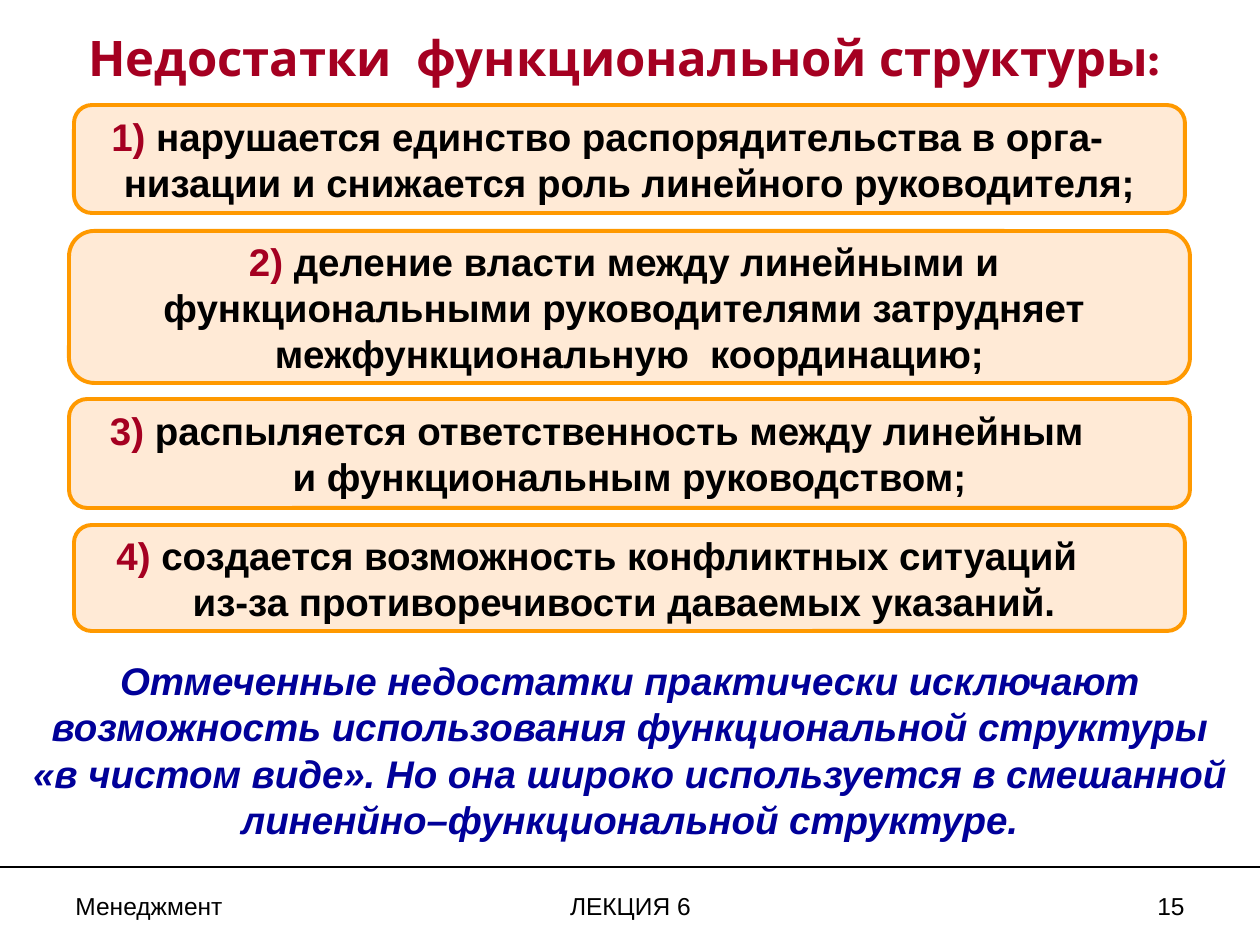
"""Builds a lecture slide on the drawbacks of a functional structure."""
from lxml import etree
from pptx import Presentation
from pptx import util as u
from pptx.dml.color import RGBColor
from pptx.enum import shapes, text
from pptx.oxml.ns import qn

PX = 914400 // 126
COLORS = {"red": "A50021", "black": "000000", "blue": "000099",
          "peach": "FFCC99", "orange": "FF9900"}
ALIGN = text.PP_ALIGN

DRAWBACKS = [
    (74, 105, 1111, 108, 44,
     [" нарушается единство распорядительства в орга-",
      "низации и снижается роль линейного руководителя;"]),
    (69, 231, 1121, 152, 0,
     [" деление власти между линейными и \n"
      "функциональными руководителями затрудняет \n"
      "межфункциональную  координацию;"]),
    (69, 399, 1121, 109, 65,
     [" распыляется ответственность между линейным",
      "и функциональным руководством;"]),
    (74, 525, 1111, 106, 65,
     [" создается возможность конфликтных ситуаций",
      "из-за противоречивости даваемых указаний. "]),
]
CONCLUSION = ("Отмеченные недостатки практически исключают "
              "возможность использования функциональной структуры\n"
              "«в чистом виде». Но она широко используется в смешанной "
              "линенйно–функциональной структуре.")
FOOTERS = [(63, 294, "Менеджмент", ALIGN.LEFT),
           (431, 399, "ЛЕКЦИЯ 6", ALIGN.CENTER),
           (903, 294, "15", ALIGN.RIGHT)]


def rgb(name):
    """Return a named colour."""
    return RGBColor.from_string(COLORS[name])


def px(*values):
    """Turn pixels into EMU."""
    return [v * PX for v in values]


def write(p, content, size, color, align=ALIGN.CENTER, bold=True, italic=False, font="Arial"):
    """Add text with line breaks to a paragraph and style it."""
    p.alignment = align
    for i, line in enumerate(content.split("\n")):
        if i:
            p.add_line_break()
        p.add_run().text = line
    f = p.font
    f.name, f.size, f.bold, f.italic = font, u.Pt(size), bold, italic
    f.color.rgb = rgb(color)


def add_label(s, box, content, size, color, **style):
    """Add a wrapped text box."""
    tf = s.shapes.add_textbox(*px(*box)).text_frame
    tf.word_wrap = True
    write(tf.paragraphs[0], content, size, color, **style)


def add_drawback(s, number, box, shift, lines):
    """Add a rounded card whose first line is centred short of the right edge."""
    sp = s.shapes.add_shape(shapes.MSO_SHAPE.ROUNDED_RECTANGLE, *px(*box))
    sp.shadow.inherit = False
    sp.fill.solid()
    sp.fill.fore_color.rgb = rgb("peach")
    fill = sp._element.spPr.find(qn("a:solidFill"))
    etree.SubElement(fill[0], qn("a:alpha"), val="40000")
    sp.line.color.rgb = rgb("orange")
    sp.line.width = u.Pt(2.25)
    tf = sp.text_frame
    tf.word_wrap = False
    tf.vertical_anchor = text.MSO_ANCHOR.MIDDLE
    tf.margin_left, tf.margin_right = px(0, shift)
    for i, line in enumerate(lines):
        p = tf.add_paragraph() if i else tf.paragraphs[0]
        if i:
            p._p.get_or_add_pPr().set("marL", str(shift * PX))
        else:
            r = p.add_run()
            r.text = f"{number})"
            r.font.color.rgb = rgb("red")
        write(p, line, 22, "black")


def add_rule(s, y):
    """Add the full-width footer line."""
    c = s.shapes.add_connector(shapes.MSO_CONNECTOR.STRAIGHT, *px(0, y, 1260, y))
    c.line.color.rgb = rgb("black")
    c.line.width = u.Pt(1.5)
    etree.SubElement(c._element.spPr, qn("a:effectLst"))


def main():
    """Build and save the slide."""
    prs = Presentation()
    prs.slide_width, prs.slide_height = px(1260, 945)
    s = prs.slides.add_slide(prs.slide_layouts[6])
    add_rule(s, 867)
    add_label(s, (21, 21, 1207, 72), "Недостатки  функциональной структуры:",
              28, "red", font="Karla")
    for number, (*box, shift, lines) in enumerate(DRAWBACKS, 1):
        add_drawback(s, number, box, shift, lines)
    add_label(s, (0, 651, 1260, 198), CONCLUSION, 22, "blue", italic=True)
    for x, w, content, align in FOOTERS:
        add_label(s, (x, 885, w, 43), content, 14, "black", align=align, bold=False)
    prs.save("out.pptx")


if __name__ == "__main__":
    main()
